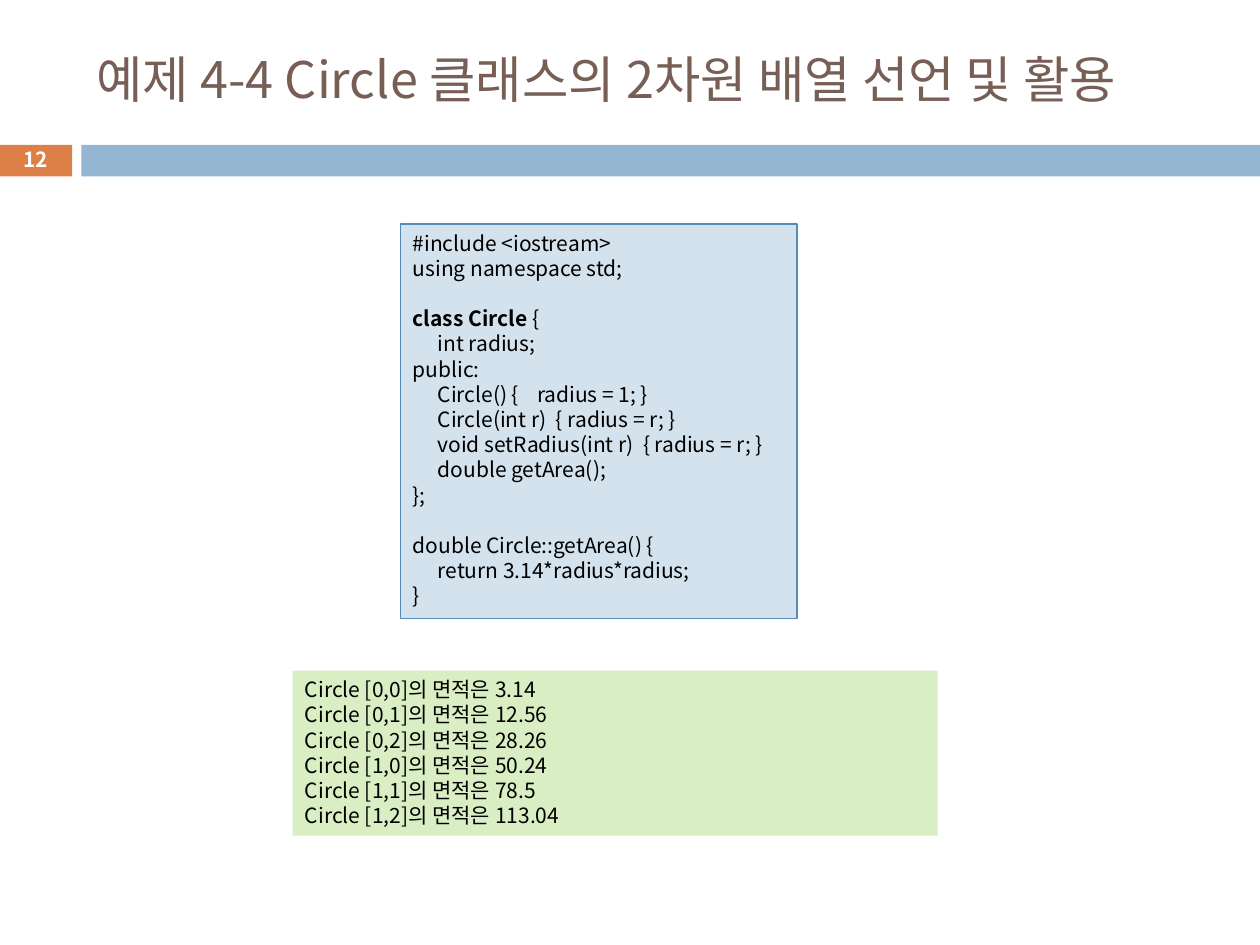
import dataclasses

import pptx
import pptx.dml.color
import pptx.enum.shapes
import pptx.enum.text
import pptx.oxml.ns
import pptx.util
from lxml import etree

Pt = pptx.util.Pt
ALIGN = pptx.enum.text.PP_ALIGN
ANCHOR = pptx.enum.text.MSO_ANCHOR


@dataclasses.dataclass(frozen=True)
class Theme:
    font: str = "Noto Sans CJK KR"
    title_size: float = 28.8
    number_size: float = 11.9
    body_size: float = 12
    line_pitch: float = 14.4
    code_tabs: tuple = (14.25, 71)
    title: str = "775F55"
    white: str = "FFFFFF"
    black: str = "000000"
    accent: str = "DD8047"
    band: str = "94B6D2"
    code_fill: str = "D4E2ED"
    code_line: str = "558BB8"
    output_fill: str = "DAEEC4"


THEME = Theme()

# An empty string is an empty line of code; a tuple holds (bold, plain) parts.
CODE = [
    "#include <iostream>",
    "using namespace std;",
    "",
    ("class Circle ", "{"),
    "\tint radius;",
    "public:",
    "\tCircle() {\tradius = 1; }",
    "\tCircle(int r)  { radius = r; }",
    "\tvoid setRadius(int r)  { radius = r; }",
    "\tdouble getArea();",
    "};",
    "",
    "double Circle::getArea() {",
    "\treturn 3.14*radius*radius;",
    "}",
]
AREAS = [["3.14", "12.56", "28.26"], ["50.24", "78.5", "113.04"]]


def rgb(value):
    return pptx.dml.color.RGBColor.from_string(value)


def add_run(paragraph, text, size, color, bold=False):
    run = paragraph.add_run()
    run.text = text
    run.font.size = Pt(size)
    run.font.bold = bold
    run.font.name = THEME.font
    run.font.color.rgb = rgb(color)
    east_asian = etree.SubElement(run.font._element, pptx.oxml.ns.qn("a:ea"))
    east_asian.set("typeface", THEME.font)


def add_block(slide, left, top, width, height, fill, line=None):
    block = slide.shapes.add_shape(
        pptx.enum.shapes.MSO_SHAPE.RECTANGLE,
        Pt(left), Pt(top), Pt(width), Pt(height))
    block.shadow.inherit = False
    block.fill.solid()
    block.fill.fore_color.rgb = rgb(fill)
    if line:
        block.line.color.rgb = rgb(line)
        block.line.width = Pt(0.75)
    else:
        block.line.fill.background()
    return block


def add_label(slide, left, top, width, height, text, size, color,
              align=ALIGN.LEFT, bold=False):
    frame = slide.shapes.add_textbox(
        Pt(left), Pt(top), Pt(width), Pt(height)).text_frame
    frame.word_wrap = True
    frame.vertical_anchor = ANCHOR.MIDDLE
    frame.margin_top = frame.margin_bottom = 0
    frame.paragraphs[0].alignment = align
    add_run(frame.paragraphs[0], text, size, color, bold)


def set_tabs(paragraph, stops):
    properties = paragraph._p.get_or_add_pPr()
    tabs = etree.SubElement(properties, pptx.oxml.ns.qn("a:tabLst"))
    for stop in stops:
        tab = etree.SubElement(tabs, pptx.oxml.ns.qn("a:tab"))
        tab.set("pos", str(int(Pt(stop))))
        tab.set("algn", "l")


def write_lines(block, lines, tabs=()):
    frame = block.text_frame
    frame.word_wrap = True
    frame.vertical_anchor = ANCHOR.TOP
    paragraph, gap = frame.paragraphs[0], 0
    for index, line in enumerate(lines):
        if not line:
            gap += THEME.line_pitch
            continue
        if index:
            paragraph = frame.add_paragraph()
        if tabs:
            set_tabs(paragraph, tabs)
        paragraph.alignment = ALIGN.LEFT
        paragraph.line_spacing = Pt(THEME.line_pitch)
        paragraph.space_before = Pt(gap)
        gap = 0
        bold, plain = line if isinstance(line, tuple) else ("", line)
        if bold:
            add_run(paragraph, bold, THEME.body_size, THEME.black, True)
        add_run(paragraph, plain, THEME.body_size, THEME.black)


def main():
    deck = pptx.Presentation()
    deck.slide_width, deck.slide_height = Pt(720), Pt(540)
    slide = deck.slides.add_slide(deck.slide_layouts[6])

    # Header band, title and slide number
    add_block(slide, -0.5, 82.8, 41.8, 18, THEME.accent)
    add_block(slide, 46.5, 82.8, 673.5, 18, THEME.band)
    add_label(slide, 48, 18, 642, 53.5,
              "예제 4-4 Circle 클래스의 2차원 배열 선언 및 활용",
              THEME.title_size, THEME.title)
    add_label(slide, -0.5, 81.5, 41.8, 19.5, "12",
              THEME.number_size, THEME.white, ALIGN.CENTER, True)

    # Program output
    output = add_block(slide, 167.2, 383.2, 368.6, 94.3, THEME.output_fill)
    write_lines(output, [
        f"Circle [{row},{column}]의 면적은 {area}"
        for row, areas in enumerate(AREAS)
        for column, area in enumerate(areas)])

    # Class listing
    listing = add_block(slide, 228.8, 128, 226.6, 225.4,
                        THEME.code_fill, THEME.code_line)
    write_lines(listing, CODE, THEME.code_tabs)

    deck.save("out.pptx")


if __name__ == "__main__":
    main()
